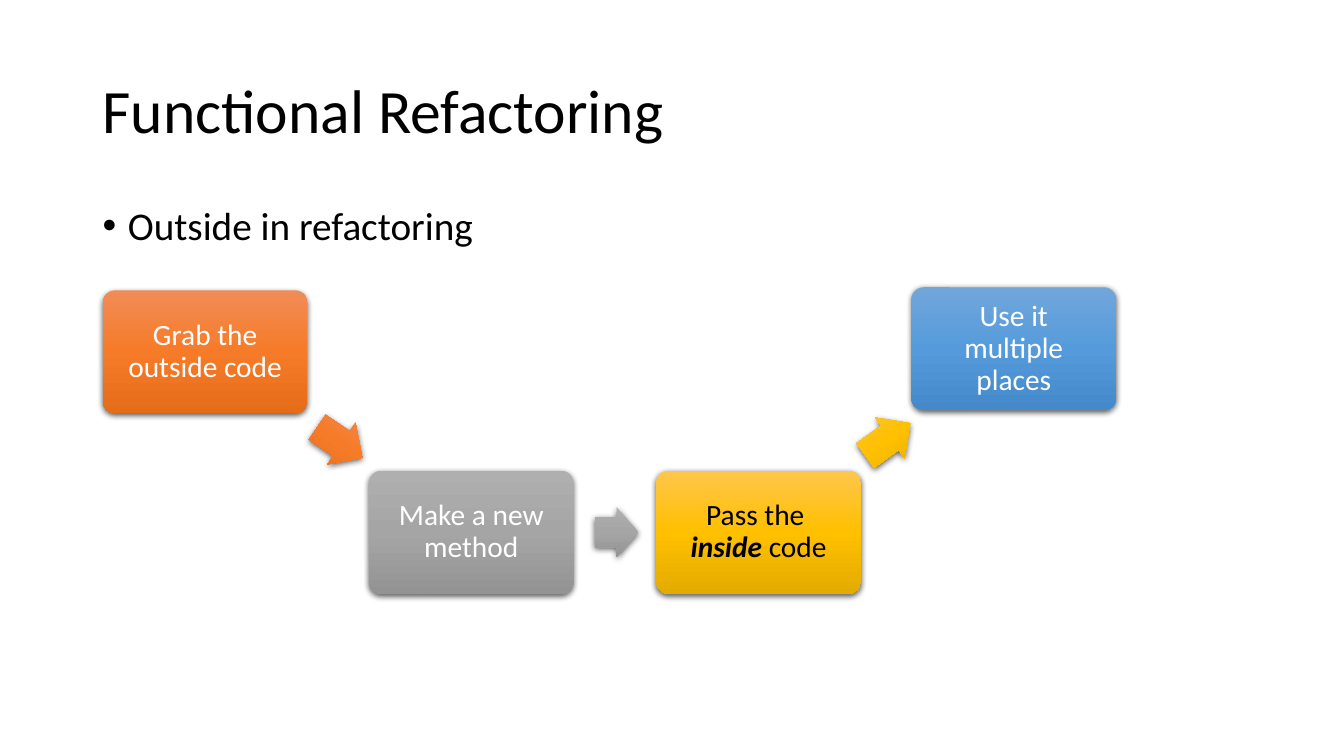
"""Build the Functional Refactoring slide with its four-step process."""
from lxml.etree import SubElement
from pptx import Presentation
from pptx.dml.color import RGBColor
from pptx.enum.shapes import MSO_SHAPE
from pptx.enum.text import MSO_ANCHOR, PP_ALIGN
from pptx.oxml import parse_xml
from pptx.oxml.ns import nsdecls, qn
from pptx.util import Pt

PX = 9144
THEME = {
    "font": "Calibri",
    "black": "000000",
    "white": "FFFFFF",
    "title": 44,
    "body": 28,
    "step": 21,
    "orange": ("F18C57", "F67B28", "E56C19"),
    "gray": ("AFAFAF", "A5A5A5", "939393"),
    "gold": ("FFC64B", "FFC000", "E3AB00"),
    "blue": ("71A6DB", "559BDB", "448ACA"),
}


def write(paragraph, text, size, color="black", **emphasis):
    """Add one formatted run to a paragraph."""
    paragraph.line_spacing = 0.9
    run = paragraph.add_run()
    run.text = text
    font_format = {"name": THEME["font"], "size": Pt(THEME[size]), **emphasis}
    for attribute, value in font_format.items():
        setattr(run.font, attribute, value)
    run.font.color.rgb = RGBColor.from_string(THEME[color])


def add_shaded(preset, bounds, hue, adjustments, rotation=0):
    """Add a preset shape with a vertical gradient and a soft shadow."""
    shape = slide.shapes.add_shape(preset, *(length * PX for length in bounds))
    shape.rotation = rotation
    for index, ratio in enumerate(adjustments):
        shape.adjustments[index] = ratio
    shape.line.fill.background()
    shape.shadow.inherit = False
    stops = "".join(
        f'<a:gs pos="{index * 50000}"><a:srgbClr val="{color}"/></a:gs>'
        for index, color in enumerate(THEME[hue])
    )
    gradient = parse_xml(
        f'<a:gradFill {nsdecls("a")} rotWithShape="1"><a:gsLst>{stops}</a:gsLst>'
        '<a:lin ang="5400000" scaled="0"/></a:gradFill>'
    )
    properties = shape.fill._xPr
    properties.find(qn("a:ln")).addprevious(gradient)
    properties.find(qn("a:effectLst")).append(parse_xml(
        f'<a:outerShdw {nsdecls("a")} blurRad="57150" dist="19050" dir="5400000" '
        'algn="ctr" rotWithShape="0"><a:srgbClr val="000000">'
        '<a:alpha val="63000"/></a:srgbClr></a:outerShdw>'
    ))
    return shape


presentation = Presentation()
presentation.slide_width = 1333 * PX
presentation.slide_height = 750 * PX
slide = presentation.slides.add_slide(presentation.slide_layouts[6])

heading = slide.shapes.add_textbox(92 * PX, 40 * PX, 1150 * PX, 145 * PX).text_frame
heading.word_wrap = True
heading.vertical_anchor = MSO_ANCHOR.MIDDLE
write(heading.paragraphs[0], "Functional Refactoring", "title")

summary = slide.shapes.add_textbox(92 * PX, 200 * PX, 1150 * PX, 476 * PX).text_frame
summary.word_wrap = True
point = summary.paragraphs[0]
point.space_before = Pt(10)
write(point, "Outside in refactoring", "body")
indents = point._p.get_or_add_pPr()
indents.set("marL", str(25 * PX))
indents.set("indent", str(-25 * PX))
SubElement(indents, qn("a:buFont")).set("typeface", "Arial")
SubElement(indents, qn("a:buChar")).set("char", "•")

STEP_SIZE = (203, 122)
STEPS = [
    (102, 288, "orange", "white", [["Grab the outside code"]]),
    (366, 467, "gray", "white", [["Make a new method"]]),
    (651, 467, "gold", "black", [["Pass the "], ["inside", " code"]]),
    (904, 285, "blue", "white", [["Use it multiple places"]]),
]
ARROWS = [
    ((310, 414, 54, 50), "orange", 34),
    ((590, 503, 43, 50), "gray", 0),
    ((853, 411, 55, 50), "gold", 324.3),
]
STEP_FRAME = {
    "word_wrap": True,
    "vertical_anchor": MSO_ANCHOR.MIDDLE,
    "margin_left": 13 * PX,
    "margin_right": 13 * PX,
    "margin_top": 13 * PX,
    "margin_bottom": 13 * PX,
}

for left, top, hue, ink, lines in STEPS:
    step = add_shaded(MSO_SHAPE.ROUNDED_RECTANGLE, (left, top, *STEP_SIZE), hue, [0.1])
    for attribute, value in STEP_FRAME.items():
        setattr(step.text_frame, attribute, value)
    label = step.text_frame.paragraphs[0]
    label.alignment = PP_ALIGN.CENTER
    for number, line in enumerate(lines):
        if number:
            label.add_line_break()
        for words in line:
            stressed = words == "inside"
            write(label, words, "step", ink, bold=stressed, italic=stressed)

for bounds, hue, rotation in ARROWS:
    add_shaded(MSO_SHAPE.RIGHT_ARROW, bounds, hue, [0.6, 0.5], rotation)

presentation.save("out.pptx")
